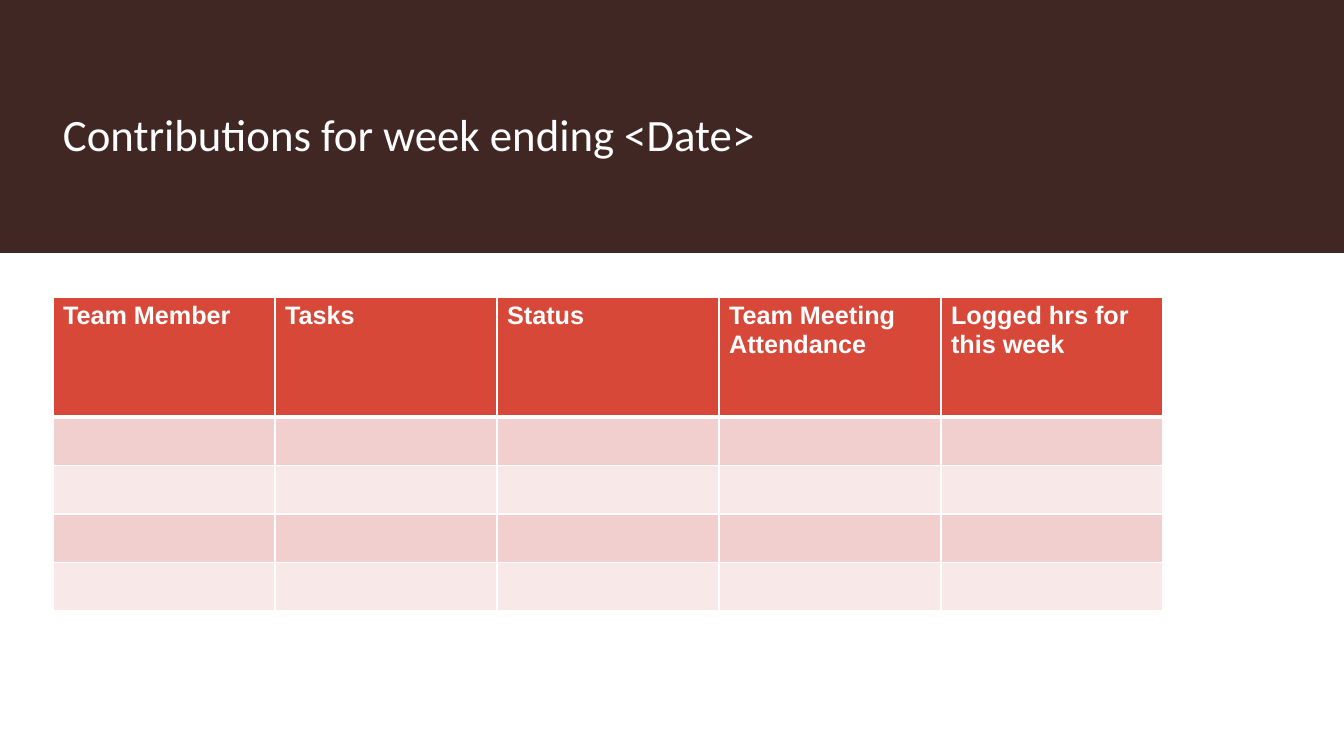
from lxml import etree
from pptx import Presentation
from pptx import util as u
from pptx.dml.color import RGBColor
from pptx.enum import shapes, text
from pptx.oxml.ns import qn

TITLE = "Contributions for week ending <Date>"
HEADINGS = ["Team Member", "Tasks", "Status", "Team Meeting Attendance", "Logged hrs for this week"]
MEMBER_ROWS = 4

WHITE, BROWN, RED = "FFFFFF", "412724", "D74839"
BANDS = ["F0CFCE", "F8E9E8"]

SLIDE_W, SLIDE_H = 1344, 756
BAND_H = 253
TITLE_BOX = (53, 40, 1199, 187)
TABLE_BOX = (53, 297, 1110, 314)
HEADER_H = 120


def px(length):
    return u.Emu(round(length * 12192000 / SLIDE_W))


def color(value):
    return RGBColor.from_string(value)


def add_span(para, words, size, font, bold=False):
    span = para.add_run()
    span.text = words
    span.font.size = u.Pt(size)
    span.font.name = font
    span.font.bold = bold
    span.font.color.rgb = color(WHITE)


def set_borders(cell, widths):
    properties = cell._tc.get_or_add_tcPr()
    for index, (side, points) in enumerate(widths.items()):
        line = etree.Element(qn("a:ln" + side), w=str(u.Pt(points)))
        fill = etree.SubElement(line, qn("a:solidFill"))
        etree.SubElement(fill, qn("a:srgbClr"), val=WHITE)
        properties.insert(index, line)


def add_title(page):
    band = page.shapes.add_shape(shapes.MSO_SHAPE.RECTANGLE, 0, 0, px(SLIDE_W), px(BAND_H))
    band.shadow.inherit = False
    band.fill.solid()
    band.fill.fore_color.rgb = color(BROWN)
    band.line.fill.background()
    box = page.shapes.add_textbox(*map(px, TITLE_BOX))
    box.text_frame.word_wrap = True
    box.text_frame.vertical_anchor = text.MSO_ANCHOR.MIDDLE
    add_span(box.text_frame.paragraphs[0], TITLE, 32, "Calibri")


def add_contributions(page):
    table = page.shapes.add_table(MEMBER_ROWS + 1, len(HEADINGS), *map(px, TABLE_BOX)).table
    for column in table.columns:
        column.width = px(TABLE_BOX[2] / len(HEADINGS))
    for row_index, row in enumerate(table.rows):
        header = row_index == 0
        row.height = px(HEADER_H if header else (TABLE_BOX[3] - HEADER_H) / MEMBER_ROWS)
        for cell, heading in zip(row.cells, HEADINGS):
            cell.fill.solid()
            cell.fill.fore_color.rgb = color(RED if header else BANDS[(row_index - 1) % 2])
            top = 3 if row_index == 1 else 1
            set_borders(cell, {"L": 1, "R": 1, "T": top, "B": 3 if header else 1})
            if header:
                add_span(cell.text_frame.paragraphs[0], heading, 18, "Arial", True)


def main():
    deck = Presentation()
    deck.slide_width, deck.slide_height = px(SLIDE_W), px(SLIDE_H)
    page = deck.slides.add_slide(deck.slide_layouts[6])
    add_title(page)
    add_contributions(page)
    deck.save("out.pptx")


if __name__ == "__main__":
    main()
